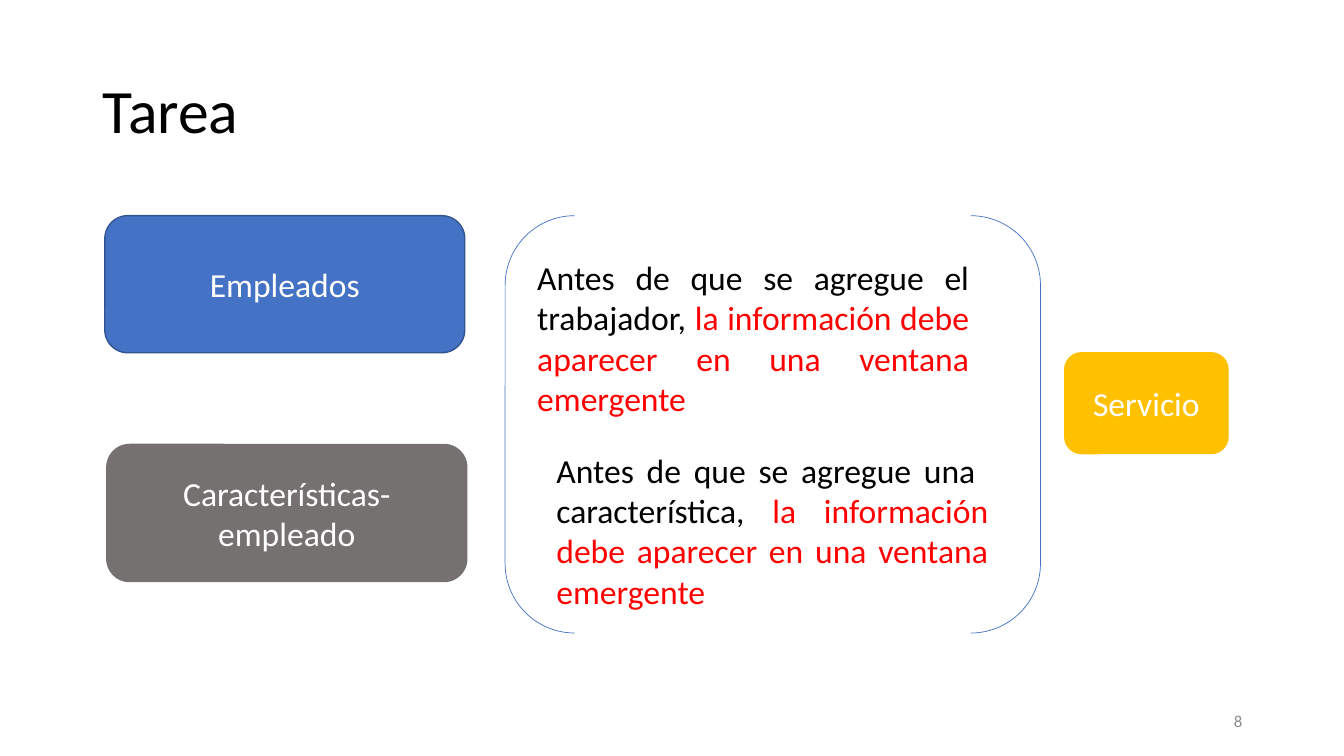
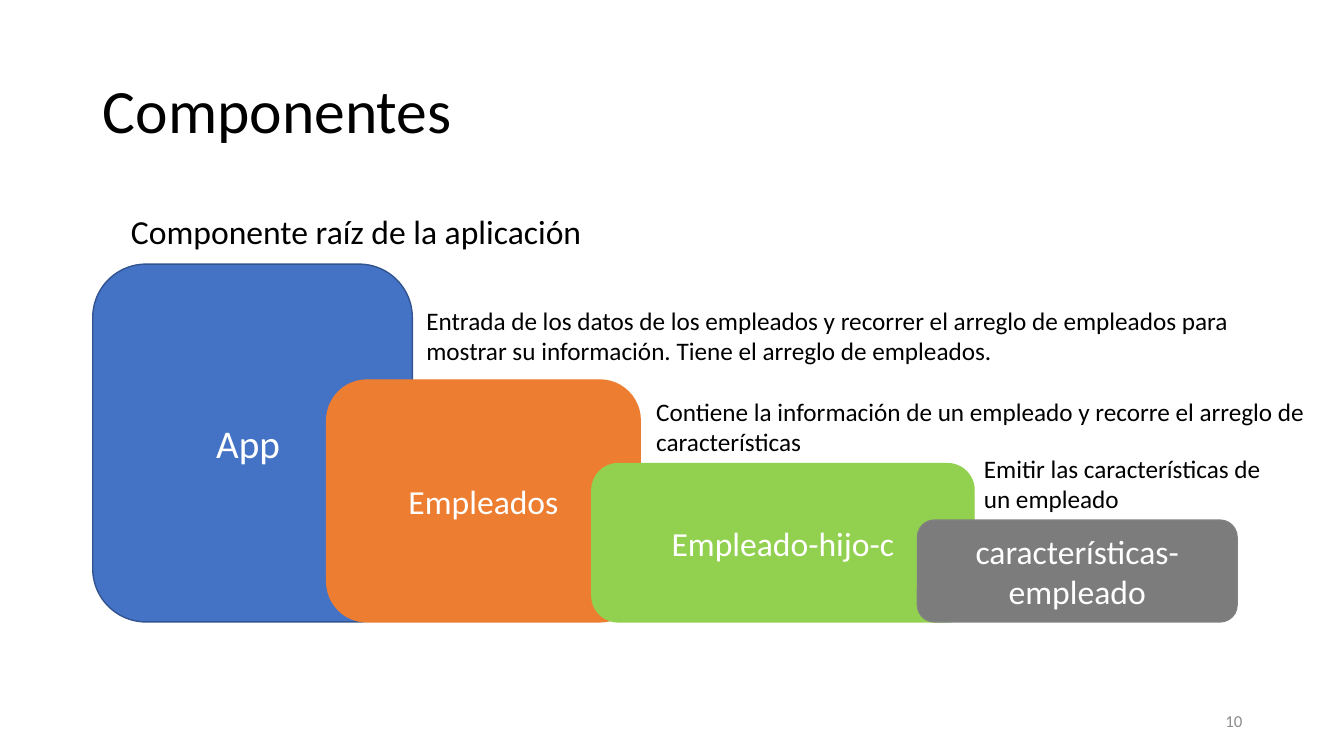
from pptx import Presentation
from pptx.dml.color import RGBColor
from pptx.enum.shapes import MSO_SHAPE
from pptx.enum.text import MSO_ANCHOR, PP_ALIGN
from pptx.util import Inches, Pt

ROUNDED = MSO_SHAPE.ROUNDED_RECTANGLE
BRACKETS = MSO_SHAPE.DOUBLE_BRACKET
MIDDLE, TOP = MSO_ANCHOR.MIDDLE, MSO_ANCHOR.TOP
LEFT, CENTER = PP_ALIGN.LEFT, PP_ALIGN.CENTER
RIGHT, JUSTIFY = PP_ALIGN.RIGHT, PP_ALIGN.JUSTIFY

COLORS = {
    "black": "000000",
    "white": "FFFFFF",
    "red": "FF0000",
    "blue": "4472C4",
    "dark_blue": "325491",
    "warm_gray": "767171",
    "gold": "FFC000",
    "orange": "ED7D31",
    "green": "92D050",
    "gray": "7C7C7C",
    "light_gray": "808080",
    "number": "8C8C8C",
}


def rgb(name):
    return RGBColor.from_string(COLORS[name])


class Deck:
    font_name = "Calibri"

    def __init__(self):
        self.presentation = Presentation()
        self.presentation.slide_width = Inches(13.33)
        self.presentation.slide_height = Inches(7.5)
        self.slide = None

    def format_paragraph(self, paragraph, size, color, align):
        paragraph.alignment = align
        paragraph.font.name = self.font_name
        paragraph.font.size = Pt(size)
        paragraph.font.color.rgb = rgb(color)

    def add_slide(self, title, number):
        layout = self.presentation.slide_layouts.get_by_name("Title Only")
        self.slide = self.presentation.slides.add_slide(layout)
        shape = self.slide.shapes.title
        shape.left, shape.top = Inches(0.92), Inches(0.4)
        shape.width, shape.height = Inches(11.5), Inches(1.45)
        shape.text_frame.text = title
        shape.text_frame.vertical_anchor = MIDDLE
        paragraph = shape.text_frame.paragraphs[0]
        paragraph.line_spacing = 0.9
        self.format_paragraph(paragraph, 44, "black", LEFT)
        self.add_text(str(number), 9.42, 6.95, 3, 0.4, 12, "number", RIGHT, MIDDLE)

    def add_text(self, text, left, top, width, height, size=18, color="black",
                 align=LEFT, anchor=TOP, wrap=True):
        box = self.slide.shapes.add_textbox(
            Inches(left), Inches(top), Inches(width), Inches(height))
        frame = box.text_frame
        frame.word_wrap = wrap
        frame.vertical_anchor = anchor
        frame.text = text
        for paragraph in frame.paragraphs:
            self.format_paragraph(paragraph, size, color, align)
        return frame

    def add_requirement(self, condition, result, left, top):
        """Add a justified text whose second part is red."""
        frame = self.add_text(condition, left, top, 4.48, 1.72, 24, align=JUSTIFY)
        run = frame.paragraphs[0].add_run()
        run.text = result
        run.font.color.rgb = rgb("red")

    def add_box(self, text, left, top, width, height, fill, line=None, size=24):
        box = self.slide.shapes.add_shape(
            ROUNDED, Inches(left), Inches(top), Inches(width), Inches(height))
        box.shadow.inherit = False
        box.fill.solid()
        box.fill.fore_color.rgb = rgb(fill)
        box.line.color.rgb = rgb(line or fill)
        box.line.width = Pt(1)
        box.text_frame.word_wrap = True
        box.text_frame.vertical_anchor = MIDDLE
        box.text_frame.text = text
        self.format_paragraph(box.text_frame.paragraphs[0], size, "white", CENTER)

    def add_brackets(self, left, top, width, height):
        brackets = self.slide.shapes.add_shape(
            BRACKETS, Inches(left), Inches(top), Inches(width), Inches(height))
        brackets.shadow.inherit = False
        brackets.fill.background()
        brackets.line.color.rgb = rgb("blue")
        brackets.line.width = Pt(0.5)


def build_task(deck):
    deck.add_slide("Tarea", 8)
    deck.add_box("Empleados", 1.04, 2.14, 3.57, 1.36, "blue", "dark_blue")
    deck.add_box("Características-empleado", 1.06, 4.41, 3.57, 1.36, "warm_gray")
    result = "la información debe aparecer en una ventana emergente"
    deck.add_requirement("Antes de que se agregue el trabajador, ", result, 5.23, 2.5)
    deck.add_requirement("Antes de que se agregue una  característica, ", result, 5.42, 4.41)
    deck.add_brackets(5.01, 2.14, 5.31, 4.14)
    deck.add_box("Servicio", 10.56, 3.5, 1.62, 1, "gold")


def build_components(deck):
    deck.add_slide("Componentes", 10)
    bottom = 6.17
    steps = [
        ("App ", 0.92, 2.62, 3.17, "blue", "dark_blue", 28),
        ("Empleados", 3.24, 3.77, 3.11, "orange", "orange", 24),
        ("Empleado-hijo-c", 5.87, 4.6, 3.79, "green", "green", 24),
        ("características-empleado", 9.1, 5.16, 3.17, "gray", "light_gray", 24),
    ]
    for text, left, top, width, fill, line, size in steps:
        deck.add_box(text, left, top, width, bottom - top, fill, line, size)

    deck.add_text("Componente raíz de la aplicación", 1.2, 2.04, 4.71, 0.5, 24, wrap=False)
    descriptions = [
        ("Entrada de los datos de los empleados y recorrer el arreglo de empleados "
         "para mostrar su información. Tiene el arreglo de empleados.", 4.13, 2.98, 8.33),
        ("Contiene la información de un empleado y recorre el arreglo de\n"
         "características", 6.41, 3.88, 7.02),
        ("Emitir las características de un empleado", 9.66, 4.45, 3.11),
    ]
    for text, left, top, width in descriptions:
        deck.add_text(text, left, top, width, 0.71)


def main():
    deck = Deck()
    build_task(deck)
    build_components(deck)
    deck.presentation.save("out.pptx")


if __name__ == "__main__":
    main()
